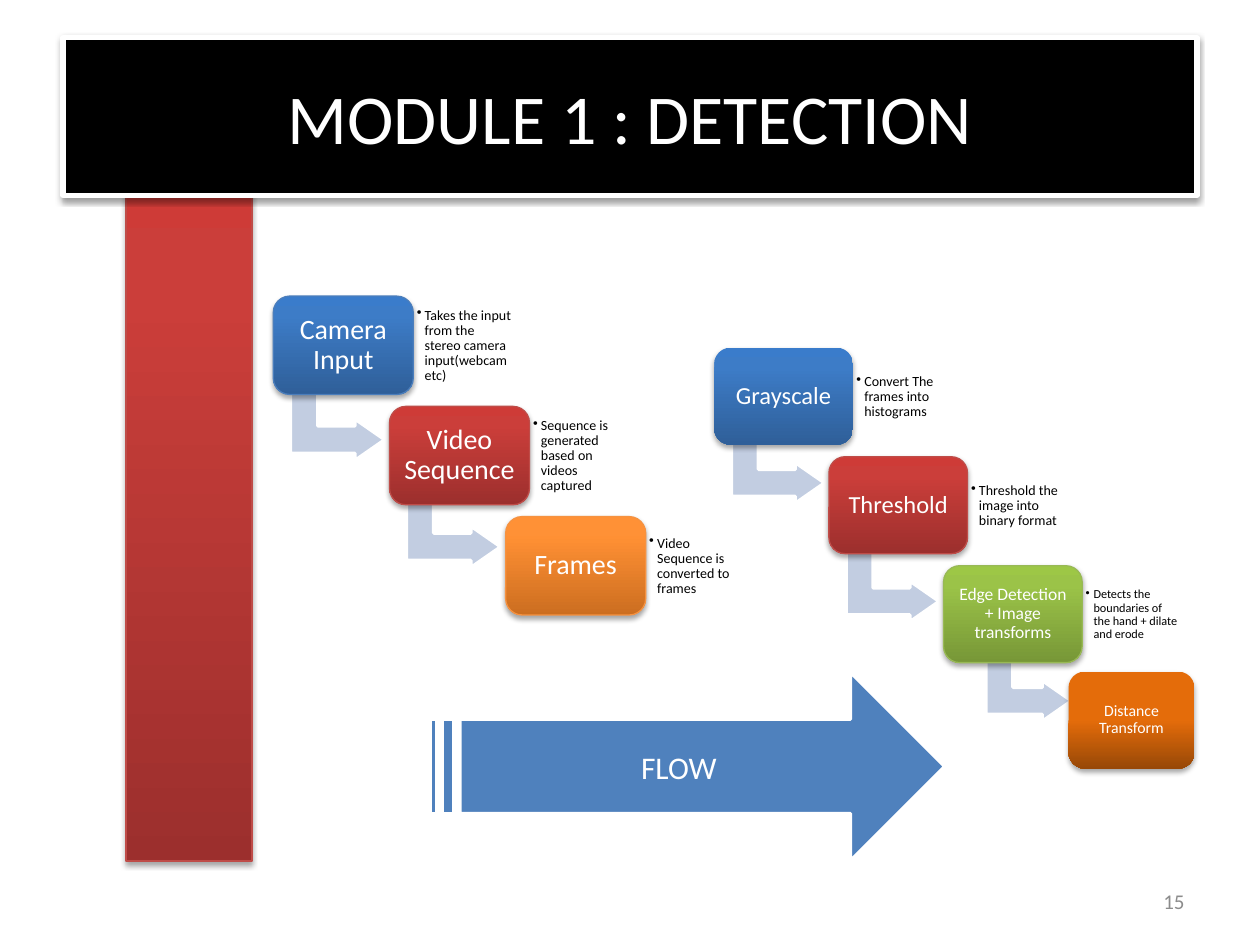
from lxml.etree import SubElement
from pptx import Presentation
from pptx.dml.color import RGBColor
from pptx.enum.shapes import MSO_SHAPE
from pptx.enum.text import MSO_ANCHOR, PP_ALIGN
from pptx.oxml.ns import qn
from pptx.util import Pt

COLORS = {"white": "FFFFFF", "black": "000000", "gray": "8C8C8C",
          "bend": "C2CDE1", "flow": "4F81BD", "blue edge": "4B7EBC",
          "red edge": "BF4C48", "orange edge": "F69240", "green edge": "98B955"}
GRADIENTS = {
    "blue": [(0, "3A7CCB"), (20, "3D7CC7"), (100, "2F5F99")],
    "red": [(0, "CE3B37"), (20, "CB3E3A"), (100, "9C2F2D")],
    "orange": [(0, "FF9136"), (20, "FF9034"), (100, "CC6E20")],
    "green": [(0, "9DC746"), (20, "9BC348"), (100, "779737")],
    "rust": [(0, "E46C0A"), (50, "E46C0A"), (100, "984807")],
}
CHAINS = [
    {"origin": (156.2, 169.2), "node": (80, 56.2), "step": (66.4, 63), "inset": 5,
     "steps": [
         {"name": "Camera Input", "size": 16, "fill": "blue", "edge": "blue edge",
          "note": "Takes the input from the stereo camera input(webcam etc)",
          "bend": (169.2, 212.4, 47.5, 54)},
         {"name": "Video Sequence", "size": 16, "fill": "red", "edge": "red edge",
          "note": "Sequence is generated based on videos captured",
          "bend": (235.4, 273.6, 47.5, 54)},
         {"name": "Frames", "size": 16, "fill": "orange", "edge": "orange edge",
          "note": "Video Sequence is converted to frames"},
     ]},
    {"origin": (408.2, 198.7), "node": (79.2, 55.4), "step": (65.5, 62.3), "inset": 4.3,
     "steps": [
         {"name": "Grayscale", "size": 14, "fill": "blue",
          "note": "Convert The frames into histograms",
          "bend": (421.2, 237.6, 46.8, 53.3)},
         {"name": "Threshold", "size": 14, "fill": "red", "edge": "red edge",
          "note": "Threshold the image into binary format",
          "bend": (486.7, 305.3, 46.8, 53.3)},
         {"name": "Edge Detection + Image transforms", "size": 10, "inset": 3,
          "fill": "green", "edge": "green edge", "note_size": 7,
          "note": "Detects the boundaries of the hand + dilate and erode",
          "bend": (564.5, 364.3, 46.8, 49)},
     ]},
    {"origin": (610.6, 383.8), "node": (72, 55.4), "step": (0, 0), "inset": 3,
     "steps": [{"name": "Distance Transform", "size": 9, "fill": "rust"}]},
]


def write(shape, text, size=18, color="white", align=PP_ALIGN.CENTER,
          insets=(7.2, 3.6), spacing=None, bullet=False):
    frame = shape.text_frame
    frame.word_wrap = True
    frame.vertical_anchor = MSO_ANCHOR.MIDDLE
    frame.margin_left = frame.margin_right = Pt(insets[0])
    frame.margin_top = frame.margin_bottom = Pt(insets[1])
    para = frame.paragraphs[0]
    para.alignment = align
    if spacing:
        para.line_spacing = spacing
    if bullet:
        para.level = 1
        properties = para._p.get_or_add_pPr()
        properties.set("marL", str(Pt(4.5)))
        properties.set("indent", str(Pt(-4.5)))
        SubElement(properties, qn("a:buChar"), char="•")
    span = para.add_run()
    span.text = text
    span.font.name = "Calibri"
    span.font.size = Pt(size)
    span.font.color.rgb = RGBColor.from_string(COLORS[color])


def paint(shape, fill, edge=None, width=0.75):
    shape.shadow.inherit = False
    if fill in GRADIENTS:
        shape.fill.gradient()
        gradient = shape._element.spPr.find(qn("a:gradFill"))
        gradient.clear()
        stops = SubElement(gradient, qn("a:gsLst"))
        for position, value in GRADIENTS[fill]:
            stop = SubElement(stops, qn("a:gs"), pos=str(position * 1000))
            SubElement(stop, qn("a:srgbClr"), val=value)
        SubElement(gradient, qn("a:lin"), ang="5400000", scaled="0")
    else:
        shape.fill.solid()
        shape.fill.fore_color.rgb = RGBColor.from_string(COLORS[fill])
    if edge:
        shape.line.color.rgb = RGBColor.from_string(COLORS[edge])
        shape.line.width = Pt(width)
    else:
        shape.line.fill.background()


def cast_shadow(shape, distance=1.8, opacity=35):
    effects = shape._element.spPr.find(qn("a:effectLst"))
    shadow = SubElement(effects, qn("a:outerShdw"), blurRad=str(Pt(3.1)),
                        dist=str(Pt(distance)), dir="5400000", rotWithShape="0")
    color = SubElement(shadow, qn("a:srgbClr"), val=COLORS["black"])
    SubElement(color, qn("a:alpha"), val=str(opacity * 1000))


def add_shape(page, kind, bounds, fill, edge=None, width=0.75):
    shape = page.shapes.add_shape(kind, *map(Pt, bounds))
    paint(shape, fill, edge, width)
    return shape


def add_bend(page, bounds):
    bend = add_shape(page, MSO_SHAPE.BENT_UP_ARROW, bounds, "bend", "white", 2)
    bend.rotation = 90
    for index, value in enumerate((0.33, 0.25, 0.36)):
        bend.adjustments[index] = value


def add_step(page, step, left, top, width, height, inset):
    if "bend" in step:
        add_bend(page, step["bend"])
    node = add_shape(page, MSO_SHAPE.ROUNDED_RECTANGLE, (left, top, width, height),
                     step["fill"], step.get("edge"))
    cast_shadow(node)
    inset = step.get("inset", inset)
    write(node, step["name"], size=step["size"], insets=(inset, inset), spacing=0.9)
    if "note" in step:
        bounds = (left + width, top + height * 0.1, width * 0.73, height * 0.81)
        box = page.shapes.add_textbox(*map(Pt, bounds))
        write(box, step["note"], size=step.get("note_size", 8), color="black",
              align=PP_ALIGN.LEFT, insets=(2, 2), spacing=0.9, bullet=True)


def add_title(page, text):
    title = page.shapes.title
    title.left, title.top, title.width, title.height = map(Pt, (36, 21.6, 648, 90))
    paint(title, "black", "white", 3)
    cast_shadow(title, distance=1.6, opacity=38)
    write(title, text, size=40)
    return title


def main():
    """Build the detection module slide."""
    deck = Presentation()
    deck.slide_width, deck.slide_height = Pt(720), Pt(540)
    page = deck.slides.add_slide(deck.slide_layouts[5])
    title = add_title(page, "MODULE 1 : DETECTION")
    bar = add_shape(page, MSO_SHAPE.RECTANGLE, (72, 90, 72, 402), "red", "red edge")
    cast_shadow(bar)
    title._element.addprevious(bar._element)
    for chain in CHAINS:
        (left, top), (across, down) = chain["origin"], chain["step"]
        for index, step in enumerate(chain["steps"]):
            add_step(page, step, left + index * across, top + index * down,
                     *chain["node"], chain["inset"])
    flow = add_shape(page, MSO_SHAPE.STRIPED_RIGHT_ARROW, (246, 384, 294, 108),
                     "flow", "white", 2)
    write(flow, "FLOW")
    number = page.shapes.add_textbox(Pt(516), Pt(500.5), Pt(168), Pt(28.8))
    write(number, "15", size=12, color="gray", align=PP_ALIGN.RIGHT)
    deck.save("out.pptx")


if __name__ == "__main__":
    main()
